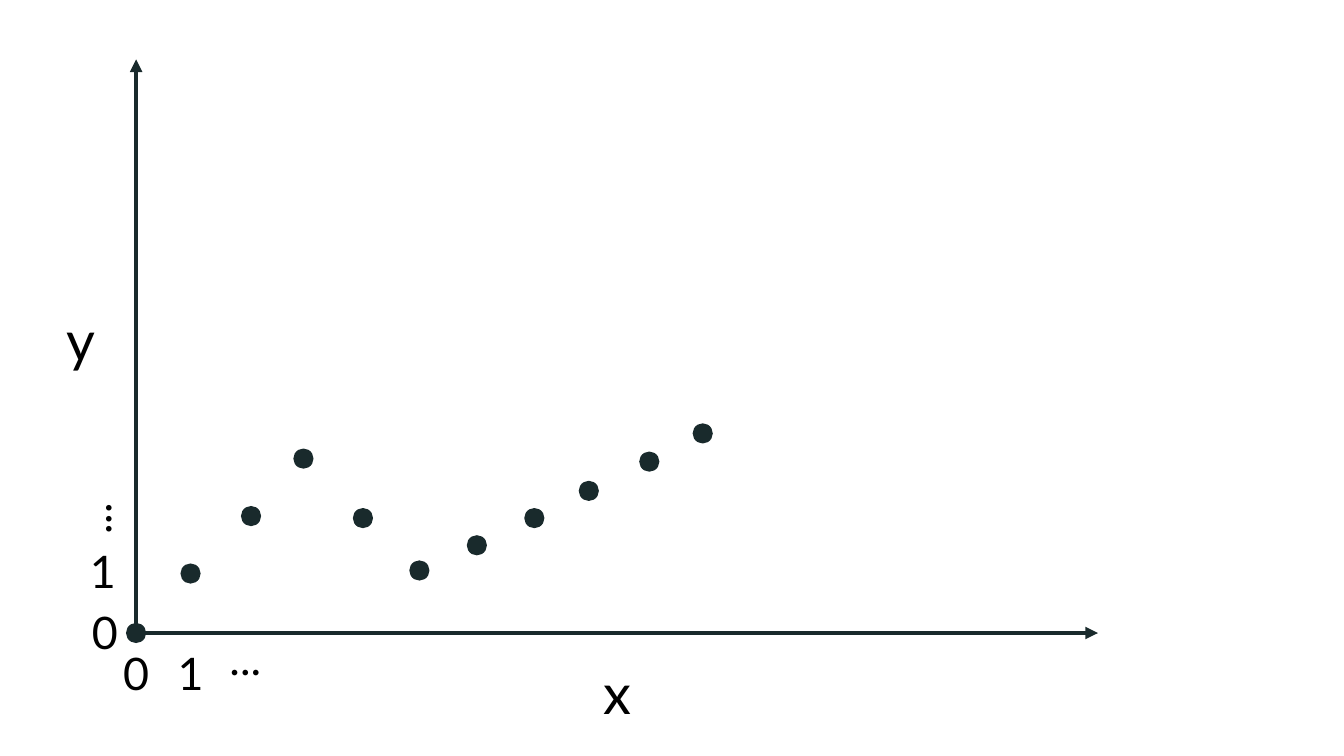
from lxml.etree import SubElement
from pptx import Presentation
from pptx.dml.color import RGBColor
from pptx.enum.shapes import MSO_CONNECTOR, MSO_SHAPE
from pptx.enum.text import MSO_AUTO_SIZE, PP_ALIGN
from pptx.oxml.ns import qn
from pptx.util import Inches, Pt

INK = RGBColor(0x19, 0x2A, 0x2C)
BLACK = RGBColor(0, 0, 0)
FONT = "Lato"
ORIGIN = (1.35, 6.28)
DOT = 0.2

# Centres of the plotted points, in inches
POINTS = [ORIGIN, (1.89, 5.69), (2.49, 5.12), (3.01, 4.55), (3.6, 5.14),
          (4.16, 5.66), (4.73, 5.41), (5.3, 5.14), (5.84, 4.87),
          (6.44, 4.58), (6.97, 4.3)]

# Tick labels: text, left, top, rotation
TICKS = [("0", 0.94, 6.36, 0), ("1", 1.48, 6.36, 0), ("... ", 2.08, 6.21, 0),
         ("1", 0.61, 5.34, 0), ("0", 0.63, 5.95, 0), ("... ", 0.52, 4.77, 270)]


def add_axis(s, x, y):
    axis = s.shapes.add_connector(MSO_CONNECTOR.STRAIGHT,
                                  *map(Inches, ORIGIN), Inches(x), Inches(y))
    axis.line.color.rgb = INK
    axis.line.width = Pt(3)
    SubElement(axis.line._get_or_add_ln(), qn("a:tailEnd"), type="triangle")
    SubElement(axis._element.spPr, qn("a:effectLst"))


def add_point(s, x, y):
    dot = s.shapes.add_shape(MSO_SHAPE.OVAL, Inches(x - DOT / 2),
                             Inches(y - DOT / 2), Inches(DOT), Inches(DOT))
    dot.shadow.inherit = False
    dot.fill.solid()
    dot.fill.fore_color.rgb = INK
    dot.line.fill.background()


def add_label(s, text, x, y, w, h, size, rotation=0):
    box = s.shapes.add_textbox(Inches(x), Inches(y), Inches(w), Inches(h))
    box.rotation = rotation
    tf = box.text_frame
    tf.word_wrap = True
    tf.auto_size = MSO_AUTO_SIZE.SHAPE_TO_FIT_TEXT
    p = tf.paragraphs[0]
    p.text = text
    p.alignment = PP_ALIGN.CENTER
    font = p.runs[0].font
    font.name, font.size = FONT, Pt(size)
    font.color.rgb = BLACK


def main():
    prs = Presentation()
    prs.slide_width, prs.slide_height = Inches(13.33), Inches(7.5)
    s = prs.slides.add_slide(prs.slide_layouts[6])

    # Axes and their names
    add_axis(s, ORIGIN[0], 0.59)
    add_axis(s, 10.89, ORIGIN[1])
    add_label(s, "x", 5.71, 6.48, 0.82, 0.77, 40)
    add_label(s, "y", 0.56, 2.98, 0.42, 0.77, 40)

    # Data points
    for x, y in POINTS:
        add_point(s, x, y)

    # Tick labels
    for text, x, y, rotation in TICKS:
        add_label(s, text, x, y, 0.82, 0.64, 32, rotation)

    prs.save("out.pptx")


if __name__ == "__main__":
    main()
